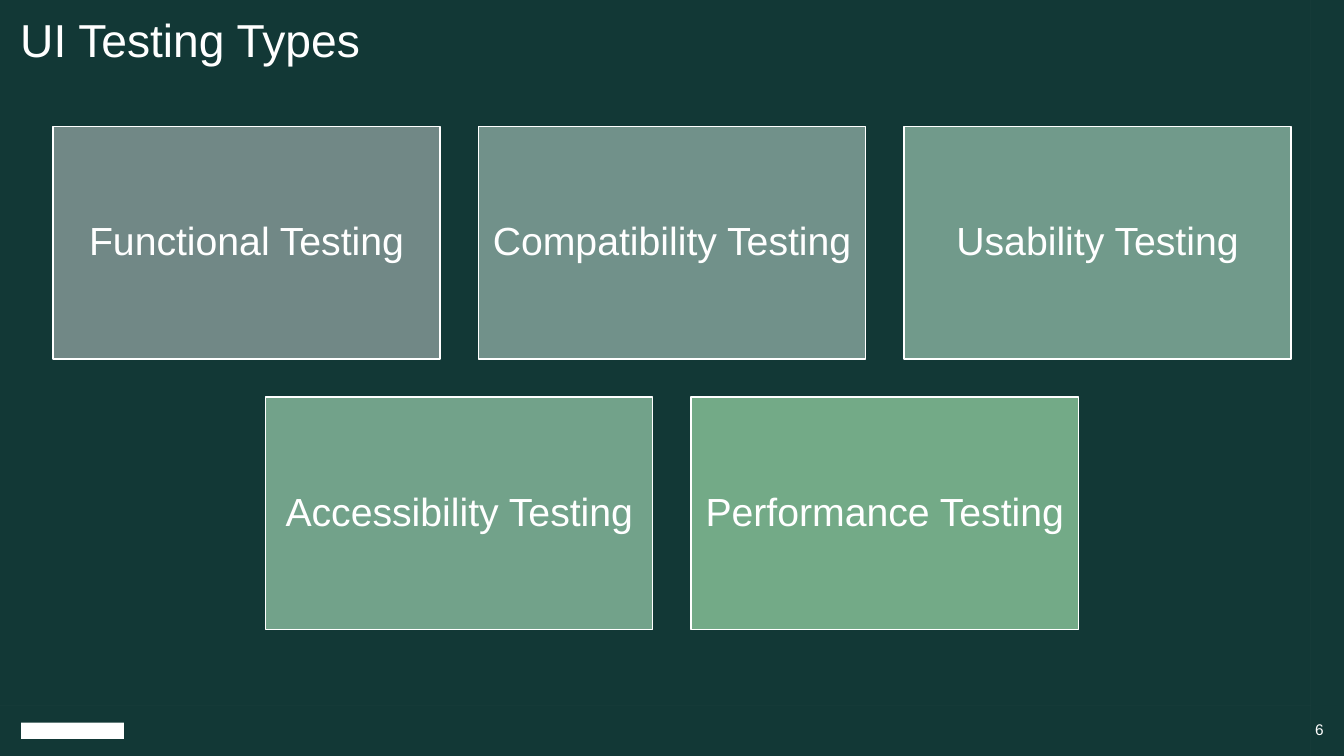
from pptx import Presentation, util as u
from pptx.dml.color import RGBColor
from pptx.enum import shapes, text

WIDE, HIGH = 13.33, 7.5
EDGE = 0.2
FONT = "Arial"
HUES = {"back": "123836", "guide": "2A4C4A", "white": "FFFFFF"}
ROWS = [
    [("Functional Testing", "718886"),
     ("Compatibility Testing", "71918A"),
     ("Usability Testing", "719A8B")],
    [("Accessibility Testing", "72A28A"),
     ("Performance Testing", "73AA87")],
]


def tint(fill, hue):
    fill.solid()
    fill.fore_color.rgb = RGBColor.from_string(hue)


def write(frame, words, size, align, anchor, inset, space):
    frame.word_wrap = True
    frame.auto_size = text.MSO_AUTO_SIZE.NONE
    frame.vertical_anchor = anchor
    (frame.margin_left, frame.margin_top,
     frame.margin_right, frame.margin_bottom) = map(u.Inches, inset)
    para = frame.paragraphs[0]
    para.alignment = align
    para.line_spacing = space
    run = para.add_run()
    run.text = words
    run.font.size = u.Pt(size)
    run.font.name = FONT
    tint(run.font.fill, HUES["white"])


def paint(shape, hue):
    """Give a shape a flat fill without line or shadow."""
    shape.shadow.inherit = False
    tint(shape.fill, hue)
    shape.line.fill.background()
    return shape


def add_block(slide, box, hue):
    block = slide.shapes.add_shape(
        shapes.MSO_SHAPE.RECTANGLE, *map(u.Inches, box))
    return paint(block, hue)


def add_guides(slide, box):
    """Draw four thin margin bands across the box as one outline."""
    left, top, width, height = box
    right, low, thin = left + width, top + height, 0.01
    bands = [(x, top, x + thin, low)
             for x in (left + EDGE, right - EDGE - thin)]
    bands += [(left, y, right, y + thin)
              for y in (top + EDGE, low - EDGE - thin)]
    pen = slide.shapes.build_freeform(scale=u.Inches(1))
    for x1, y1, x2, y2 in bands:
        pen.move_to(x1, y1)
        pen.add_line_segments([(x2, y1), (x2, y2), (x1, y2)], close=True)
    paint(pen.convert_to_shape(), HUES["guide"])


def add_title(slide, words, box):
    title = slide.shapes.title
    title.left, title.top, title.width, title.height = map(u.Inches, box)
    write(title.text_frame, words, 33, text.PP_ALIGN.LEFT,
          text.MSO_ANCHOR.TOP, (0, 0, 0, 0), 0.85)
    title.element.getparent().append(title.element)


def add_cards(slide, box, rows):
    """Lay out equal cards in centred rows, with one gap both ways."""
    left, top, width, height = box
    cols, gap = max(map(len, rows)), 0.38
    wide = (width - gap * (cols - 1)) / cols
    high = (height - gap * (len(rows) - 1)) / len(rows)
    for r, row in enumerate(rows):
        start = left + (cols - len(row)) * (wide + gap) / 2
        for c, (words, hue) in enumerate(row):
            spot = (start + c * (wide + gap), top + r * (high + gap), wide, high)
            card = add_block(slide, spot, hue)
            tint(card.line.fill, HUES["white"])
            card.line.width = u.Pt(1)
            write(card.text_frame, words, 28, text.PP_ALIGN.CENTER,
                  text.MSO_ANCHOR.MIDDLE, (0.12,) * 4, 0.9)


def add_foot(slide, box, page):
    """Place a plain brand bar at the left and the page number at the right."""
    left, top, width, height = box
    add_block(slide, (left + 0.01, top + 0.09, 1.02, 0.16), HUES["white"])
    wide = 2.97
    spot = (left + width - wide, top, wide, height)
    note = slide.shapes.add_textbox(*map(u.Inches, spot))
    write(note.text_frame, page, 11, text.PP_ALIGN.RIGHT,
          text.MSO_ANCHOR.BOTTOM, (0, 0.28, 0, 0), 1.0)


def main():
    deck = Presentation()
    deck.slide_width, deck.slide_height = u.Inches(WIDE), u.Inches(HIGH)
    slide = deck.slides.add_slide(deck.slide_layouts[5])
    full = (0, 0, WIDE, HIGH)
    inner = WIDE - 2 * EDGE
    add_block(slide, full, HUES["back"])
    add_guides(slide, full)
    add_title(slide, "UI Testing Types", (EDGE, EDGE, inner, 1.04))
    add_cards(slide, (0.525, 1.255, 12.28, 4.99), ROWS)
    add_foot(slide, (EDGE, 7.08, inner, 0.21), "6")
    deck.save("out.pptx")


if __name__ == "__main__":
    main()
